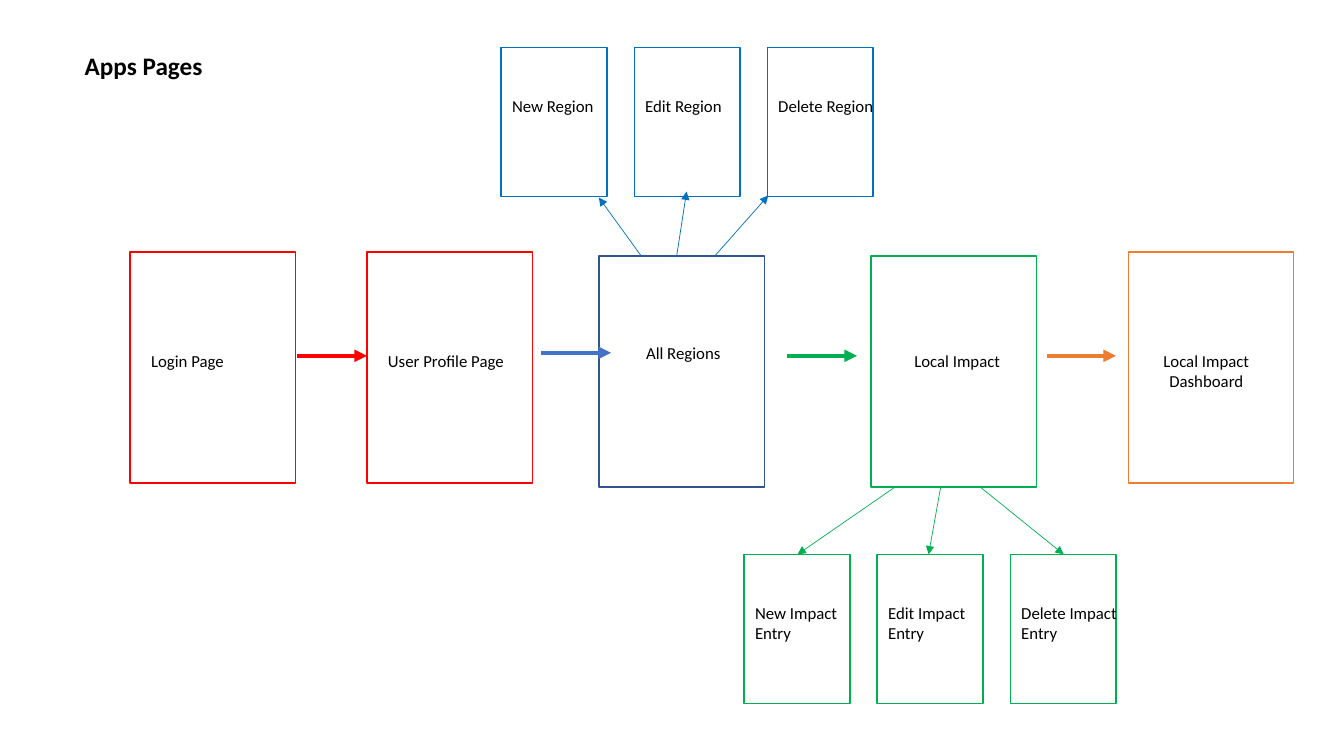
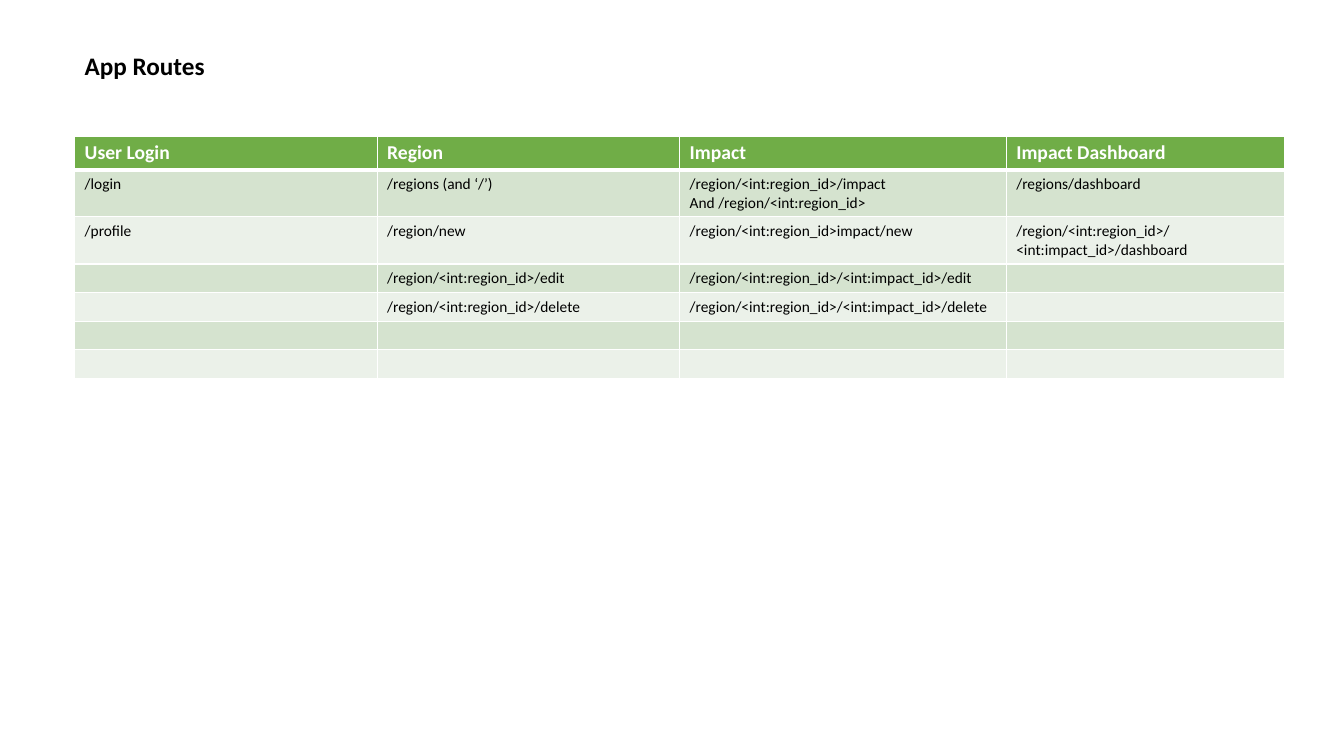
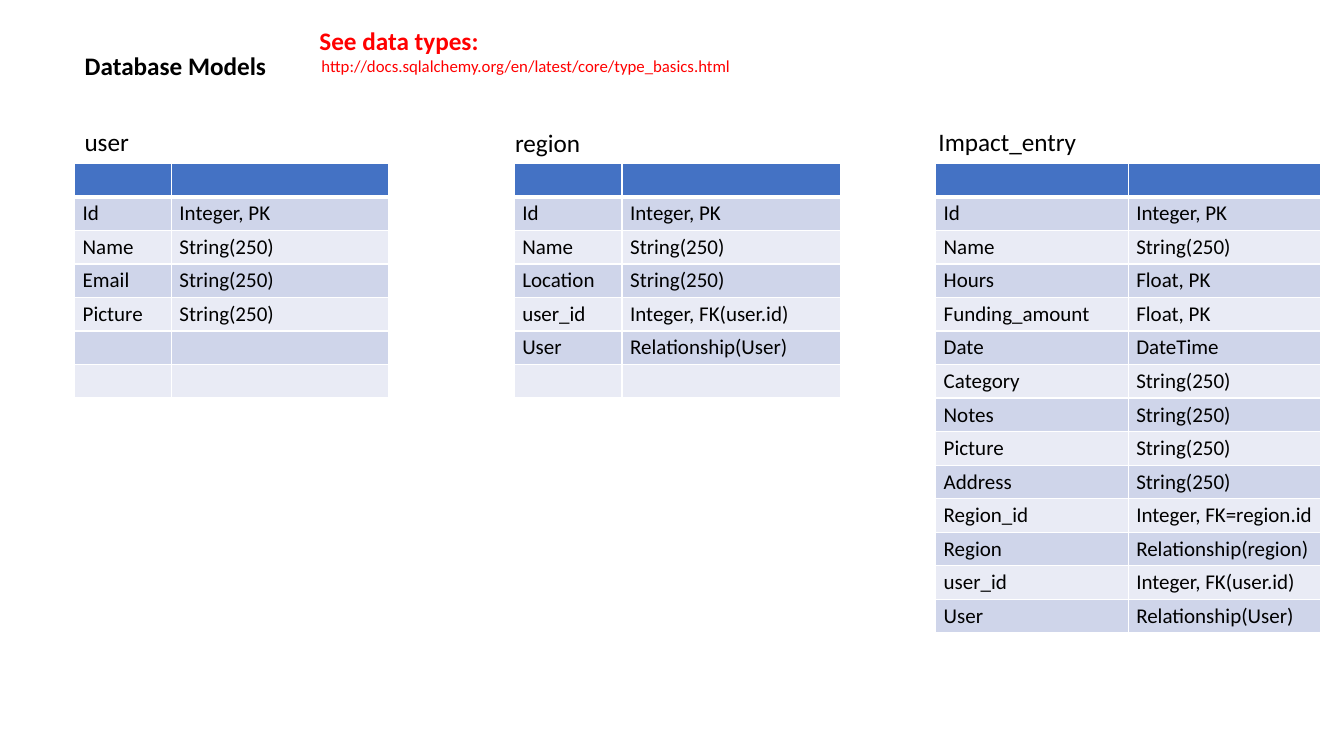
from pptx import Presentation
from pptx.dml.color import RGBColor
from pptx.enum import shapes, text
from pptx.oxml import xmlchemy
from pptx.util import Inches, Pt

FONT = "Calibri"
BLACK, WHITE, RED = "000000", "FFFFFF", "FF0000"
BLUE, NAVY, SKY = "4472C4", "325491", "0070C0"
GREEN, ORANGE, LEAF = "00B050", "ED7D31", "70AD47"
BLUE_BANDS = ("CFD5EA", "E9EBF5")
GREEN_BANDS = ("D5E3CF", "EBF1E9")

PAGE_SIZE = (1.64, 2.29)
ACTION_SIZE = (1.05, 1.48)
ACTION_PITCH = 1.32

# name, left, top, colour, label position and width, label alignment
PAGES = [
    ("Login Page", 1.29, 2.5, RED, (1.4, 3.43, 1.37), "LEFT"),
    ("User Profile Page", 3.64, 2.5, RED, (3.75, 3.43, 1.37), "LEFT"),
    ("All Regions", 5.94, 2.54, NAVY, (6.31, 3.35, 1.16), "LEFT"),
    ("Local Impact", 8.64, 2.54, GREEN, (8.97, 3.43, 1.52), "LEFT"),
    ("Local Impact Dashboard", 11.19, 2.5, ORANGE, (11.28, 3.43, 1.37), "CENTER"),
]
# left, height on the slide, colour
FLOW_ARROWS = [(2.95, 3.53, RED), (5.37, 3.5, BLUE),
               (7.81, 3.53, GREEN), (10.38, 3.53, ORANGE)]
REGION_ARROWS = [((6.36, 2.54), (5.94, 1.96)), ((6.71, 2.55), (6.81, 1.9)),
                 ((7.08, 2.55), (7.62, 1.94))]
IMPACT_ARROWS = [((8.88, 4.83), (7.91, 5.5)), ((9.33, 4.83), (9.21, 5.5)),
                 ((9.72, 4.83), (10.55, 5.5))]

ROUTES = [
    ("User Login", "Region", "Impact", "Impact Dashboard"),
    ("/login", "/regions (and ‘/’)",
     "/region/<int:region_id>/impact\nAnd /region/<int:region_id>", "/regions/dashboard"),
    ("/profile", "/region/new", "/region/<int:region_id>impact/new",
     "/region/<int:region_id>/<int:impact_id>/dashboard"),
    ("", "/region/<int:region_id>/edit", "/region/<int:region_id>/<int:impact_id>/edit", ""),
    ("", "/region/<int:region_id>/delete",
     "/region/<int:region_id>/<int:impact_id>/delete", ""),
    ("",) * 4,
    ("",) * 4,
]

EMPTY = ("", "")
KEY = ("Id", "Integer, PK")
OWNER = [("user_id", "Integer, FK(user.id)"), ("User", "Relationship(User)")]


def string_fields(*names):
    return [(name, "String(250)") for name in names]


# name, name position and width, table left, column widths, rows
MODELS = [
    ("user", (0.74, 1.2, 1.23), 0.74, (0.96, 2.15),
     [EMPTY, KEY, *string_fields("Name", "Email", "Picture"), EMPTY, EMPTY]),
    ("region", (5.01, 1.21, 1.23), 5.1, (1.07, 2.17),
     [EMPTY, KEY, *string_fields("Name", "Location"), *OWNER, EMPTY]),
    ("Impact_entry", (9.21, 1.2, 1.77), 9.28, (1.91, 1.91),
     [EMPTY, KEY, *string_fields("Name"), ("Hours", "Float, PK"),
      ("Funding_amount", "Float, PK"), ("Date", "DateTime"),
      *string_fields("Category", "Notes", "Picture", "Address"),
      ("Region_id", "Integer, FK=region.id"), ("Region", "Relationship(region)"), *OWNER]),
]


def rgb(colour):
    return RGBColor.from_string(colour)


def format_text(frame, size, colour=BLACK, bold=False, align="LEFT"):
    for paragraph in frame.paragraphs:
        paragraph.alignment = getattr(text.PP_ALIGN, align)
        for run in paragraph.runs:
            run.font.name, run.font.size, run.font.bold = FONT, Pt(size), bold
            run.font.color.rgb = rgb(colour)


def add_titled_slide(presentation, title):
    slide = presentation.slides.add_slide(presentation.slide_layouts[5])
    shape = slide.shapes.title
    shape.left, shape.top = Inches(0.74), Inches(0.45)
    shape.width, shape.height = Inches(3.17), Inches(0.4)
    frame = shape.text_frame
    frame.text = title
    frame.vertical_anchor = text.MSO_ANCHOR.TOP
    frame.auto_size = text.MSO_AUTO_SIZE.SHAPE_TO_FIT_TEXT
    format_text(frame, 18, bold=True)
    return slide


def add_label(slide, words, left, top, width, size=12, wrap=True, **style):
    height = size / 60 + 0.1
    box = slide.shapes.add_textbox(Inches(left), Inches(top), Inches(width), Inches(height))
    frame = box.text_frame
    frame.word_wrap = wrap
    frame.auto_size = text.MSO_AUTO_SIZE.SHAPE_TO_FIT_TEXT
    frame.text = words
    format_text(frame, size, **style)


def add_frame(slide, left, top, size, colour):
    shape = slide.shapes.add_shape(shapes.MSO_SHAPE.RECTANGLE, Inches(left), Inches(top),
                                   *map(Inches, size))
    shape.shadow.inherit = False
    shape.fill.background()
    shape.line.color.rgb = rgb(colour)
    shape.line.width = Pt(1)


def add_arrow(slide, start, end, colour, width):
    arrow = slide.shapes.add_connector(shapes.MSO_CONNECTOR.STRAIGHT,
                                       *map(Inches, (*start, *end)))
    arrow.line.color.rgb = rgb(colour)
    arrow.line.width = Pt(width)
    head = xmlchemy.OxmlElement("a:tailEnd")
    head.set("type", "triangle")
    arrow.line._get_or_add_ln().append(head)
    arrow._element.spPr.append(xmlchemy.OxmlElement("a:effectLst"))


def add_actions(slide, names, left, top, colour):
    for index, name in enumerate(names):
        action_left = left + index * ACTION_PITCH
        add_frame(slide, action_left, top, ACTION_SIZE, colour)
        add_label(slide, name, action_left + 0.01, top + 0.43, 1.15)


def set_border(cell, side, width):
    line = xmlchemy.OxmlElement(f"a:{side}")
    line.set("w", str(Pt(width)))
    fill = xmlchemy.OxmlElement("a:solidFill")
    colour = xmlchemy.OxmlElement("a:srgbClr")
    colour.set("val", WHITE)
    fill.append(colour)
    line.append(fill)
    cell._tc.get_or_add_tcPr().append(line)


def fill_cell(cell, words, row, size, header, bands):
    # Borders come before the fill in the cell properties
    for side in ("lnL", "lnR", "lnT", "lnB"):
        heavy = (row, side) in ((0, "lnB"), (1, "lnT"))
        set_border(cell, side, 3 if heavy else 1)
    cell.fill.solid()
    cell.fill.fore_color.rgb = rgb(bands[(row - 1) % 2] if row else header)
    frame = cell.text_frame
    frame.text = words
    format_text(frame, size, BLACK if row else WHITE, bold=row == 0)
    if not words:
        end = frame.paragraphs[0]._p.get_or_add_endParaRPr()
        end.set("sz", str(size * 100))


def add_table(slide, rows, left, top, widths, row_height, header, bands,
              size, header_size, margins=(0.1, 0.05)):
    table = slide.shapes.add_table(
        len(rows), len(widths), Inches(left), Inches(top),
        Inches(sum(widths)), Inches(row_height * len(rows))).table
    for column, width in zip(table.columns, widths):
        column.width = Inches(width)
    for index, values in enumerate(rows):
        table.rows[index].height = Inches(row_height)
        for column, words in enumerate(values):
            cell = table.cell(index, column)
            cell.margin_left = cell.margin_right = Inches(margins[0])
            cell.margin_top = cell.margin_bottom = Inches(margins[1])
            fill_cell(cell, words, index, size if index else header_size, header, bands)


def build_pages(presentation):
    slide = add_titled_slide(presentation, "Apps Pages")
    # Main flow
    for name, left, top, colour, label_place, align in PAGES:
        add_frame(slide, left, top, PAGE_SIZE, colour)
        add_label(slide, name, *label_place, align=align)
    for left, level, colour in FLOW_ARROWS:
        add_arrow(slide, (left, level), (left + 0.69, level), colour, 3)
    # Actions on regions and impact entries
    add_actions(slide, ["New Region", "Edit Region", "Delete Region"], 4.97, 0.47, SKY)
    add_actions(slide, ["New Impact\nEntry", "Edit Impact\nEntry", "Delete Impact\nEntry"],
                7.38, 5.5, GREEN)
    for arrows, colour in ((REGION_ARROWS, SKY), (IMPACT_ARROWS, GREEN)):
        for start, end in arrows:
            add_arrow(slide, start, end, colour, 0.5)


def build_routes(presentation):
    slide = add_titled_slide(presentation, "App Routes")
    add_table(slide, ROUTES, 0.74, 1.35, (3, 3, 3.24, 2.76), 0.27, LEAF, GREEN_BANDS,
              size=11, header_size=14)


def build_models(presentation):
    slide = add_titled_slide(presentation, "Database Models")
    for name, name_place, left, widths, rows in MODELS:
        add_label(slide, name, *name_place, size=18)
        add_table(slide, rows, left, 1.62, widths, 4.66 / 14, BLUE, BLUE_BANDS,
                  size=15, header_size=15, margins=(0.08, 0.04))
    # Reference for the data types
    add_label(slide, "See data types:", 3.07, 0.2, 3.17, size=18, colour=RED, bold=True)
    add_label(slide, "http://docs.sqlalchemy.org/en/latest/core/type_basics.html",
              3.09, 0.5, 4.3, wrap=False, colour=RED)


def main():
    presentation = Presentation()
    presentation.slide_width, presentation.slide_height = Inches(13.33), Inches(7.5)
    build_pages(presentation)
    build_routes(presentation)
    build_models(presentation)
    presentation.save("out.pptx")


main()
